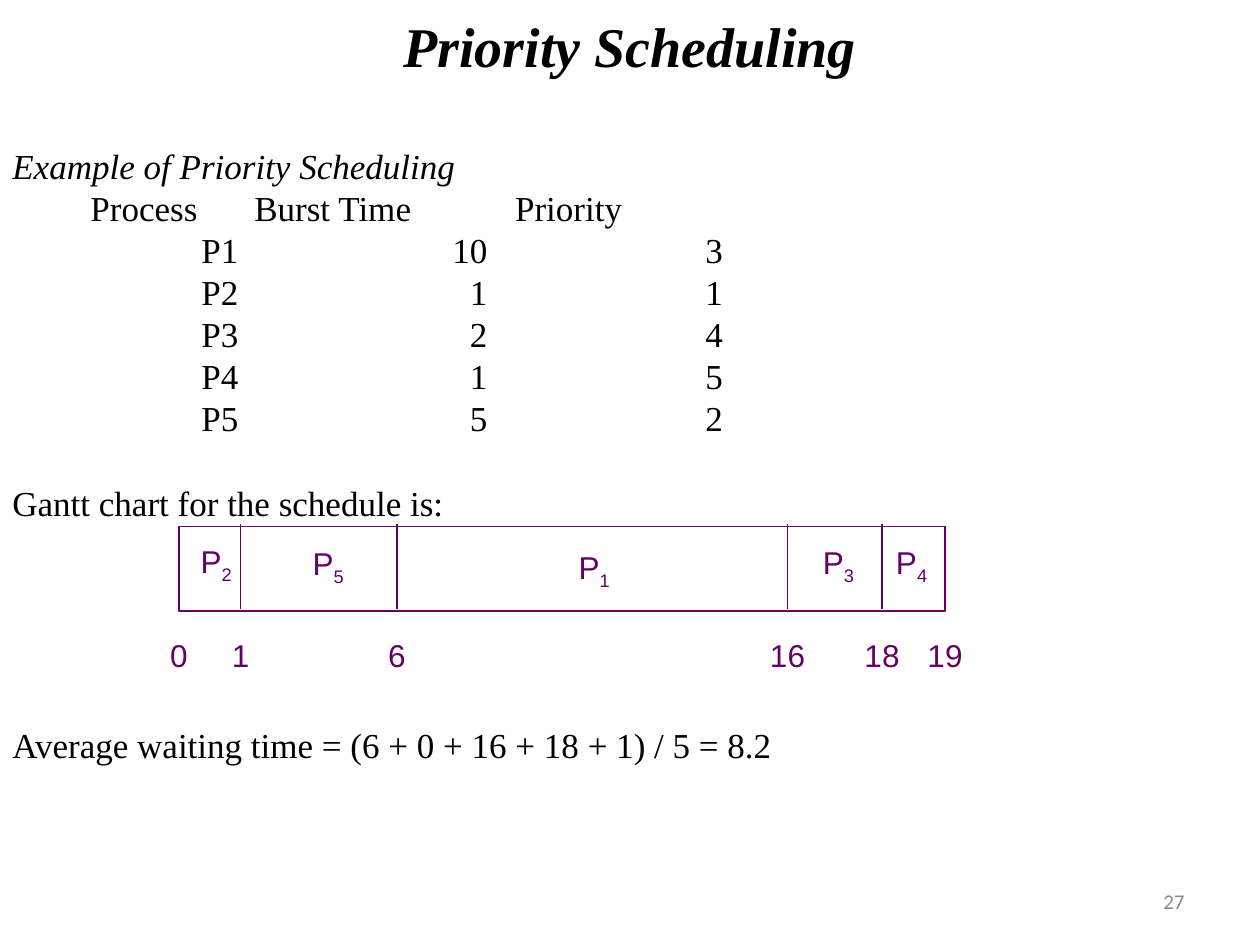
"""Build the priority scheduling slide with its process list and Gantt chart."""
from lxml import etree
from pptx import Presentation
from pptx.dml.color import RGBColor
from pptx.enum.shapes import MSO_CONNECTOR, MSO_SHAPE
from pptx.enum.text import MSO_ANCHOR, MSO_AUTO_SIZE, PP_ALIGN
from pptx.oxml.ns import qn
from pptx.util import Inches, Pt

LEFT, CENTER, RIGHT = PP_ALIGN.LEFT, PP_ALIGN.CENTER, PP_ALIGN.RIGHT
TOP, MIDDLE = MSO_ANCHOR.TOP, MSO_ANCHOR.MIDDLE
RECTANGLE, STRAIGHT = MSO_SHAPE.RECTANGLE, MSO_CONNECTOR.STRAIGHT
NO_AUTOFIT = MSO_AUTO_SIZE.NONE
COLORS = {"text": "000000", "gantt": "660066", "bar": "FFFFFF", "number": "898989"}
CELL = Inches(0.1)
COLUMNS, ROWS = 100, 75

deck = Presentation()
deck.slide_width, deck.slide_height = COLUMNS * CELL, ROWS * CELL
page = deck.slides.add_slide(deck.slide_layouts[5])


def style(para, size, face, color, align):
    para.alignment = align
    para.font.size = Pt(size)
    para.font.name = face
    para.font.color.rgb = RGBColor.from_string(COLORS[color])


def add_box(column, row, columns, rows, anchor, wrap):
    box = page.shapes.add_textbox(*(int(n * CELL) for n in (column, row, columns, rows)))
    box.text_frame.vertical_anchor = anchor
    box.text_frame.word_wrap = wrap
    return box.text_frame


title = page.shapes.title
title.left, title.top, title.width, title.height = 0, 0, COLUMNS * CELL, 5 * CELL
title.text_frame.auto_size = NO_AUTOFIT
title.text_frame.vertical_anchor = TOP
title.text_frame.margin_top = Inches(0.09)
title.text_frame.text = "Priority Scheduling"
heading = title.text_frame.paragraphs[0]
style(heading, 32, "Times New Roman", "text", CENTER)
heading.font.bold = heading.font.italic = True

header_tabs = [(0.62, "l"), (1.92, "l"), (3.99, "l")]
value_tabs = [(1.5, "l"), (3.77, "r"), (5.5, "l")]
processes = [("P1", 10, 3), ("P2", 1, 1), ("P3", 2, 4), ("P4", 1, 5), ("P5", 5, 2)]
lines = [("Example of Priority Scheduling", []),
         ("\tProcess\tBurst Time\tPriority", header_tabs)]
lines += [(f"\t{name}\t{burst}\t{priority}", value_tabs) for name, burst, priority in processes]
lines.append(("Gantt chart for the schedule is:", []))

example = add_box(0, 10.8, COLUMNS, 31, TOP, True)
example.margin_top = Inches(0.07)
for index, (text, tabs) in enumerate(lines):
    para = example.paragraphs[0] if index == 0 else example.add_paragraph()
    para.text = text
    para.line_spacing = Pt(24)
    if tabs:
        tab_list = etree.SubElement(para._p.get_or_add_pPr(), qn("a:tabLst"))
        for position, kind in tabs:
            etree.SubElement(tab_list, qn("a:tab"), pos=str(Inches(position)), algn=kind)
    style(para, 20, "Times New Roman", "text", LEFT)
example.paragraphs[0].font.italic = True
example.paragraphs[-1].space_before = Pt(24)

times = [(0, 14.2), (1, 19.1), (6, 31.5), (16, 62.5), (18, 70), (19, 75)]
start, end = times[0][1], times[-1][1]
bar_row, bar_rows = 41.8, 6.7
bar = page.shapes.add_shape(RECTANGLE, int(start * CELL), int(bar_row * CELL),
                            int((end - start) * CELL), int(bar_rows * CELL))
bar.shadow.inherit = False
bar.fill.solid()
bar.fill.fore_color.rgb = RGBColor.from_string(COLORS["bar"])
bar.line.color.rgb = RGBColor.from_string(COLORS["gantt"])
bar.line.width = Pt(0.75)

for time, column in times[1:-1]:
    divider = page.shapes.add_connector(STRAIGHT, int(column * CELL), int(41.6 * CELL),
                                        int(column * CELL), int(48.3 * CELL))
    divider.line.color.rgb = RGBColor.from_string(COLORS["gantt"])
    divider.line.width = Pt(0.75)
    etree.SubElement(divider._element.spPr, qn("a:effectLst"))

for time, column in times:
    columns = 3.4 if time < 10 else 4.8
    para = add_box(column - columns / 2, 50, columns, 4, MIDDLE, False).paragraphs[0]
    para.text = str(time)
    style(para, 18, "Arial", "gantt", CENTER)

slots = [("2", 14.9, 42.5), ("5", 23.8, 42.7), ("1", 44.9, 43), ("3", 64.3, 42.6), ("4", 70.1, 42.6)]
for number, column, row in slots:
    para = add_box(column, row, 4.5, 4.4, MIDDLE, False).paragraphs[0]
    para.add_run().text = "P"
    subscript = para.add_run()
    subscript.text = number
    subscript._r.get_or_add_rPr().set("baseline", "-25000")
    style(para, 18, "Arial", "gantt", CENTER)

average = add_box(0, 56.7, COLUMNS, 4.4, TOP, True)
average.margin_top = Inches(0.07)
average.text = "Average waiting time = (6 + 0 + 16 + 18 + 1) / 5 = 8.2"
style(average.paragraphs[0], 20, "Times New Roman", "text", LEFT)

page_number = add_box(71.7, 69.5, 23.3, 4, MIDDLE, True)
page_number.text = "27"
style(page_number.paragraphs[0], 12, "Calibri", "number", RIGHT)

deck.save("out.pptx")
